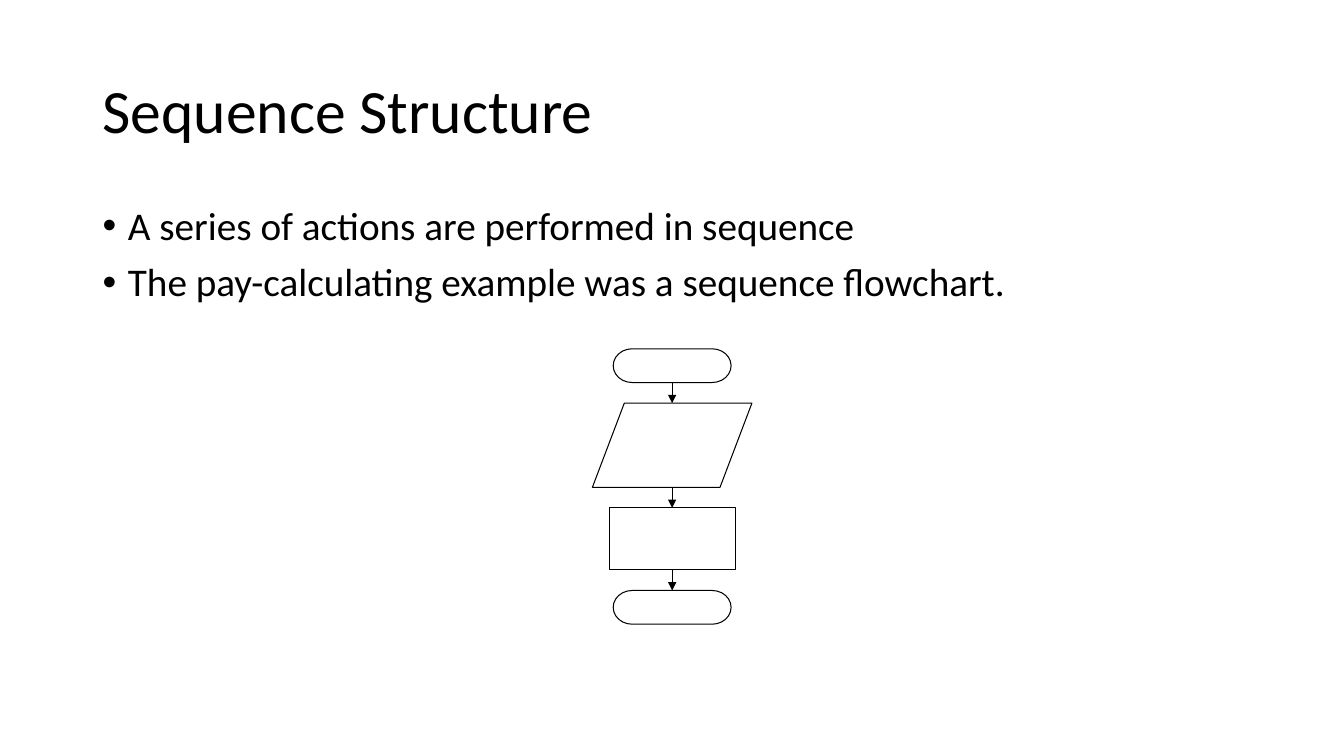
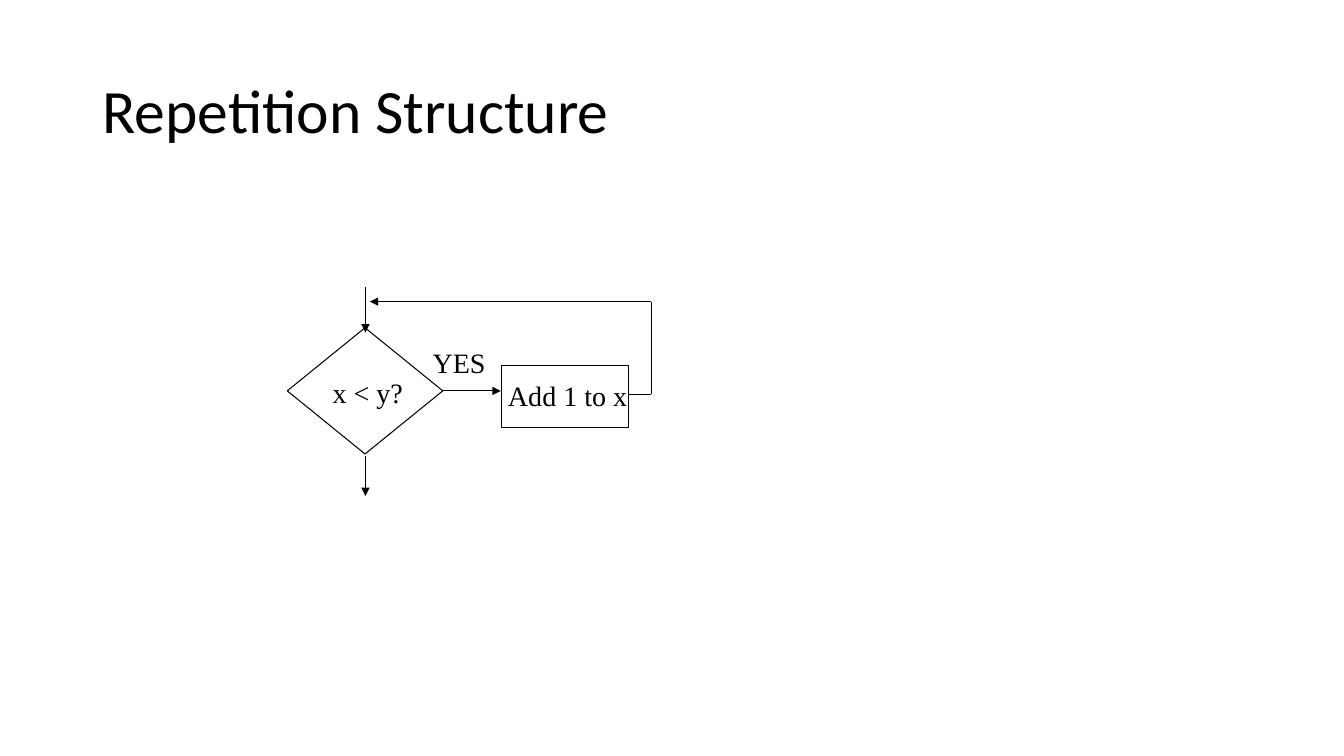
from lxml.etree import SubElement
from pptx import Presentation
from pptx.dml.color import RGBColor as RGB
from pptx.enum.shapes import MSO_CONNECTOR as CONN, MSO_SHAPE as SHAPE
from pptx.enum.text import MSO_ANCHOR as ANCHOR, PP_ALIGN as ALIGN
from pptx.oxml.ns import qn
from pptx.util import Cm, Pt

COLORS = {"ink": "000000"}
LINE_WIDTH = Pt(0.75)
TITLE_BOX = (2.33, 1.02, 29.21, 3.68)
BODY_BOX = (2.33, 5.08, 29.21, 12.09)
TITLE_FONT = {"name": "Calibri", "size": Pt(44)}
BODY_FONT = {"name": "Calibri", "size": Pt(28)}
LABEL_FONT = {"name": "Times New Roman", "size": Pt(20)}
TITLE_PARA = {"alignment": ALIGN.LEFT, "line_spacing": 0.9}
BODY_PARA = {"line_spacing": 0.9, "space_before": Pt(10)}
LABEL_PARA = {"alignment": ALIGN.CENTER}


def set_attrs(obj, values):
    """Set each named attribute of an object."""
    for name, value in values.items():
        setattr(obj, name, value)


def place(sp, box):
    """Move and size a shape to a box in centimetres."""
    set_attrs(sp, dict(zip(("left", "top", "width", "height"), map(Cm, box))))


def write(p, text, font, para):
    """Fill a paragraph with one formatted run."""
    r = p.add_run()
    r.text = text
    set_attrs(p, para)
    set_attrs(r.font, font)
    r.font.color.rgb = RGB.from_string(COLORS["ink"])


def set_line(sp):
    """Give a shape or connector the thin ink line."""
    sp.line.color.rgb = RGB.from_string(COLORS["ink"])
    sp.line.width = LINE_WIDTH


def add_node(shapes, kind, x, y, w, h):
    """Add an unfilled flowchart symbol."""
    sp = shapes.add_shape(kind, *map(Cm, (x, y, w, h)))
    sp.shadow.inherit = False
    sp.fill.background()
    set_line(sp)


def add_link(shapes, x1, y1, x2, y2, arrow=True):
    """Add a straight line, with an arrowhead at its end if wanted."""
    cn = shapes.add_connector(CONN.STRAIGHT, *map(Cm, (x1, y1, x2, y2)))
    set_line(cn)
    if arrow:
        SubElement(cn.line._get_or_add_ln(), qn("a:tailEnd"), type="triangle")
    SubElement(cn._element.spPr, qn("a:effectLst"))


def add_label(shapes, text, x, y, w, h=1.09):
    """Add a centred flowchart label."""
    tf = shapes.add_textbox(*map(Cm, (x, y, w, h))).text_frame
    tf.word_wrap = True
    write(tf.paragraphs[0], text, LABEL_FONT, LABEL_PARA)


def add_slide(prs, layout, title):
    """Add a slide with the shared title style."""
    s = prs.slides.add_slide(prs.slide_layouts.get_by_name(layout))
    sp = s.shapes.title
    place(sp, TITLE_BOX)
    sp.text_frame.vertical_anchor = ANCHOR.MIDDLE
    write(sp.text_frame.paragraphs[0], title, TITLE_FONT, TITLE_PARA)
    return s


def fill_body(s, items):
    """Write the bullet list into the body placeholder."""
    sp = s.placeholders[1]
    place(sp, BODY_BOX)
    tf = sp.text_frame
    for i, item in enumerate(items):
        p = tf.add_paragraph() if i else tf.paragraphs[0]
        write(p, item, BODY_FONT, BODY_PARA)
        pPr = p._p.get_or_add_pPr()
        pPr.set("marL", str(Cm(0.64)))
        pPr.set("indent", str(-Cm(0.64)))
        SubElement(pPr, qn("a:buFont"), typeface="Arial")
        SubElement(pPr, qn("a:buChar"), char="•")


def draw_sequence(s, x, y, w, gap=0.52):
    """Stack the sequence symbols, centred and joined by arrows."""
    shapes = s.shapes.add_group_shape().shapes
    cx = x + w / 2
    nodes = [
        (SHAPE.FLOWCHART_TERMINATOR, 2.97, 0.85),
        (SHAPE.FLOWCHART_DATA, w, 2.12),
        (SHAPE.RECTANGLE, 3.18, 1.56),
        (SHAPE.FLOWCHART_TERMINATOR, 2.97, 0.85),
    ]
    for i, (kind, width, height) in enumerate(nodes):
        if i:
            add_link(shapes, cx, y, cx, y + gap)
            y += gap
        add_node(shapes, kind, cx - width / 2, y, width, height)
        y += height


def draw_repetition(s, x, y, w, h):
    """Draw the decision, its action and the loop back."""
    shapes = s.shapes.add_group_shape().shapes
    cx, right, loop_y, exit_y = x + 1.97, x + w, y + 0.36, y + 2.69
    add_node(shapes, SHAPE.FLOWCHART_DECISION, x, y + 1.02, 3.92, 3.18)
    add_node(shapes, SHAPE.RECTANGLE, x + 5.41, y + 1.98, 3.18, 1.55)
    add_link(shapes, cx, y, cx, y + 1.14)
    add_link(shapes, cx, y + 4.24, cx, y + h)
    add_link(shapes, x + 3.92, y + 2.61, x + 5.38, y + 2.61)
    add_link(shapes, x + 8.59, exit_y, right, exit_y, arrow=False)
    add_link(shapes, right, exit_y, right, loop_y, arrow=False)
    add_link(shapes, right, loop_y, x + 2.08, loop_y)
    add_label(shapes, "x < y?", x + 0.71, y + 2.11, 2.64)
    add_label(shapes, "Add 1 to x", x + 5.26, y + 2.18, 3.61)
    add_label(shapes, "YES", x + 3.25, y + 1.35, 2.16)


def main():
    """Build and save the presentation."""
    prs = Presentation()
    prs.slide_width, prs.slide_height = Cm(33.87), Cm(19.05)

    s = add_slide(prs, "Title and Content", "Sequence Structure")
    fill_body(s, [
        "A series of actions are performed in sequence",
        "The pay-calculating example was a sequence flowchart.",
    ])
    draw_sequence(s, 14.93, 8.79, 4.02)

    s = add_slide(prs, "Title Only", "Repetition Structure")
    draw_repetition(s, 7.24, 7.24, 9.17, 5.26)

    prs.save("out.pptx")


if __name__ == "__main__":
    main()
